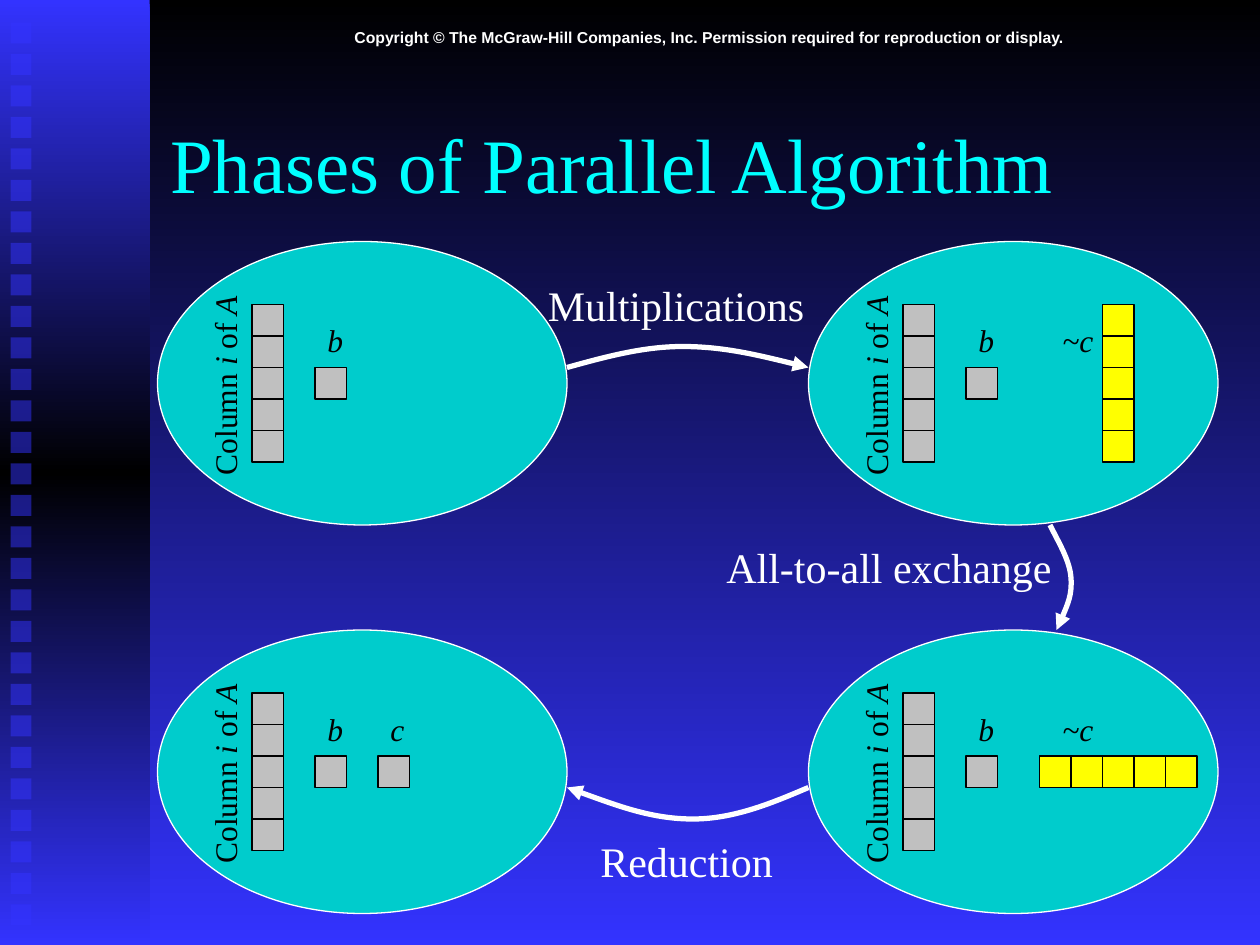
from copy import deepcopy
from dataclasses import dataclass

from pptx import Presentation
from pptx.dml.color import RGBColor as Rgb
from pptx.enum.shapes import MSO_SHAPE as Kind
from pptx.enum.text import MSO_ANCHOR as Anchor, MSO_AUTO_SIZE as Fit, PP_ALIGN as Align
from pptx.oxml.ns import qn
from pptx.oxml.xmlchemy import OxmlElement as Node
from pptx.util import Pt


@dataclass(frozen=True)
class Theme:
    serif: str = "Times New Roman"
    sans: str = "Arial"
    black: str = "000000"
    white: str = "FFFFFF"
    blue: str = "3333FF"
    cyan: str = "00FFFF"
    teal: str = "00CCCC"
    grey: str = "C0C0C0"
    yellow: str = "FFFF00"
    head: int = 44
    step: int = 24
    name: int = 18
    note: int = 9
    thin: float = 0.75
    thick: float = 3


T = Theme()
CELL = 24
COUNT = 5
OVAL = (312, 216)


def px(n):
    return n * 9525


def place(box):
    return [px(n) for n in box]


def shade(fill, root, hues):
    fill.gradient()
    fill.gradient_angle = 270
    stops = root.find(f".//{qn('a:gsLst')}")
    while len(stops) < len(hues):
        stops.append(deepcopy(stops[0]))
    for i, (stop, hue) in enumerate(zip(fill.gradient_stops, hues)):
        stop.position = i / (len(hues) - 1)
        stop.color.rgb = Rgb.from_string(hue)


def form(page, kind, box, hue=None, edge=None):
    item = page.shapes.add_shape(kind, *place(box))
    item.shadow.inherit = False
    if hue:
        item.fill.solid()
        item.fill.fore_color.rgb = Rgb.from_string(hue)
    if edge:
        item.line.color.rgb = Rgb.from_string(edge)
        item.line.width = Pt(T.thin)
    else:
        item.line.fill.background()
    return item


def write(frame, *runs, size, hue, face=T.serif, bold=False, align=Align.LEFT, slant=()):
    para = frame.paragraphs[0]
    para.alignment = align
    for words in runs:
        run = para.add_run()
        run.text = words
        font = run.font
        font.name, font.size, font.bold = face, Pt(size), bold
        font.italic = words in slant
        font.color.rgb = Rgb.from_string(hue)


def label(page, box, *runs, turn=0, **fmt):
    item = page.shapes.add_textbox(*place(box))
    item.rotation = turn
    frame = item.text_frame
    frame.word_wrap = False
    frame.auto_size = Fit.SHAPE_TO_FIT_TEXT
    write(frame, *runs, **fmt)


def strip(page, box):
    left, top, _, _ = box
    band = form(page, Kind.RECTANGLE, box)
    shade(band.fill, band.element, (T.blue, T.black, T.blue))
    for i in range(29):
        dot = form(page, Kind.RECTANGLE, (left + 8, top + 17 + CELL * i, 16, 16), T.blue)
        alpha = Node("a:alpha")
        alpha.set("val", "50000")
        dot.element.spPr.find(f".//{qn('a:srgbClr')}").append(alpha)


def header(page, box):
    left, top, wide, _ = box
    note = page.shapes.add_textbox(*place((left, top + 16, wide, 24))).text_frame
    note.margin_left = note.margin_right = note.margin_top = note.margin_bottom = 0
    note.word_wrap = True
    note.vertical_anchor = Anchor.MIDDLE
    write(note, "Copyright © The McGraw-Hill Companies, Inc. Permission required for "
          "reproduction or display.", size=T.note, hue=T.white, face=T.sans, bold=True,
          align=Align.CENTER)
    title = page.shapes.title
    title.left, title.top, title.width, title.height = place((left, top + 64, wide - 24, 120))
    frame = title.text_frame
    frame.auto_size = Fit.NONE
    frame.vertical_anchor = Anchor.MIDDLE
    write(frame, "Phases of Parallel Algorithm", size=T.head, hue=T.cyan)


def cells(page, left, top, hue, count=1, down=False):
    for i in range(count):
        x, y = (left, top + CELL * i) if down else (left + CELL * i, top)
        form(page, Kind.RECTANGLE, (x, y, CELL, CELL), hue, T.black)


def phase(page, box, part=None):
    left, top, _, _ = box
    fmt = dict(size=T.name, hue=T.black)
    form(page, Kind.OVAL, box, T.teal, T.white)
    cells(page, left + 72, top + 48, T.grey, COUNT, down=True)
    label(page, (left - 27, top + 91, 156, 38), "Column ", "i", " of ", "A",
          turn=270, align=Align.RIGHT, slant=("i", "A"), **fmt)
    cells(page, left + 120, top + 96, T.grey)
    label(page, (left + 120, top + 56, 32, 38), "b", slant=("b",), **fmt)
    if part == "whole":
        label(page, (left + 168, top + 56, 31, 38), "c", slant=("c",), **fmt)
        cells(page, left + 168, top + 96, T.grey)
    elif part:
        label(page, (left + 184, top + 56, 45, 38), "~c", slant=("~c",), **fmt)
        if part == "column":
            cells(page, left + 224, top + 48, T.yellow, COUNT, down=True)
        else:
            cells(page, left + 176, top + 96, T.yellow, COUNT)


def arrow(page, box, words, curve):
    pen = page.shapes.build_freeform(*curve[0], scale=px(1))
    pen.add_line_segments(curve[1:], close=False)
    item = pen.convert_to_shape()
    item.shadow.inherit = False
    item.fill.background()
    item.line.color.rgb = Rgb.from_string(T.white)
    item.line.width = Pt(T.thick)
    legs = list(item.element.iter(qn("a:lnTo")))
    for i in range(0, len(legs), 3):
        bend = Node("a:cubicBezTo")
        legs[i].addprevious(bend)
        for leg in legs[i:i + 3]:
            bend.append(leg[0])
            leg.getparent().remove(leg)
    tip = Node("a:tailEnd")
    tip.set("type", "triangle")
    item.element.spPr.find(qn("a:ln")).append(tip)
    label(page, box, words, size=T.step, hue=T.white)


def main():
    deck = Presentation()
    deck.slide_width, deck.slide_height = px(960), px(720)
    page = deck.slides.add_slide(deck.slide_layouts[5])
    shade(page.background.fill, page.element, (T.black, T.blue))
    strip(page, (0, 0, 114, 720))
    header(page, (120, 0, 840, 184))
    for left, top, part in ((120, 184, None), (616, 184, "column"),
                            (616, 480, "row"), (120, 480, "whole")):
        phase(page, (left, top, *OVAL), part)
    arrow(page, (408, 208, 217, 48), "Multiplications",
          [(432, 280), (461, 272), (490, 264), (520, 264), (551, 264), (584, 272), (616, 280)])
    arrow(page, (544, 408, 268, 48), "All-to-all exchange",
          [(800, 400), (807, 414), (815, 427), (816, 440), (817, 453), (811, 467), (805, 480)])
    arrow(page, (448, 632, 152, 48), "Reduction",
          [(616, 600), (588, 612), (559, 624), (528, 624), (497, 624), (465, 612), (432, 600)])
    deck.save("out.pptx")


if __name__ == "__main__":
    main()
